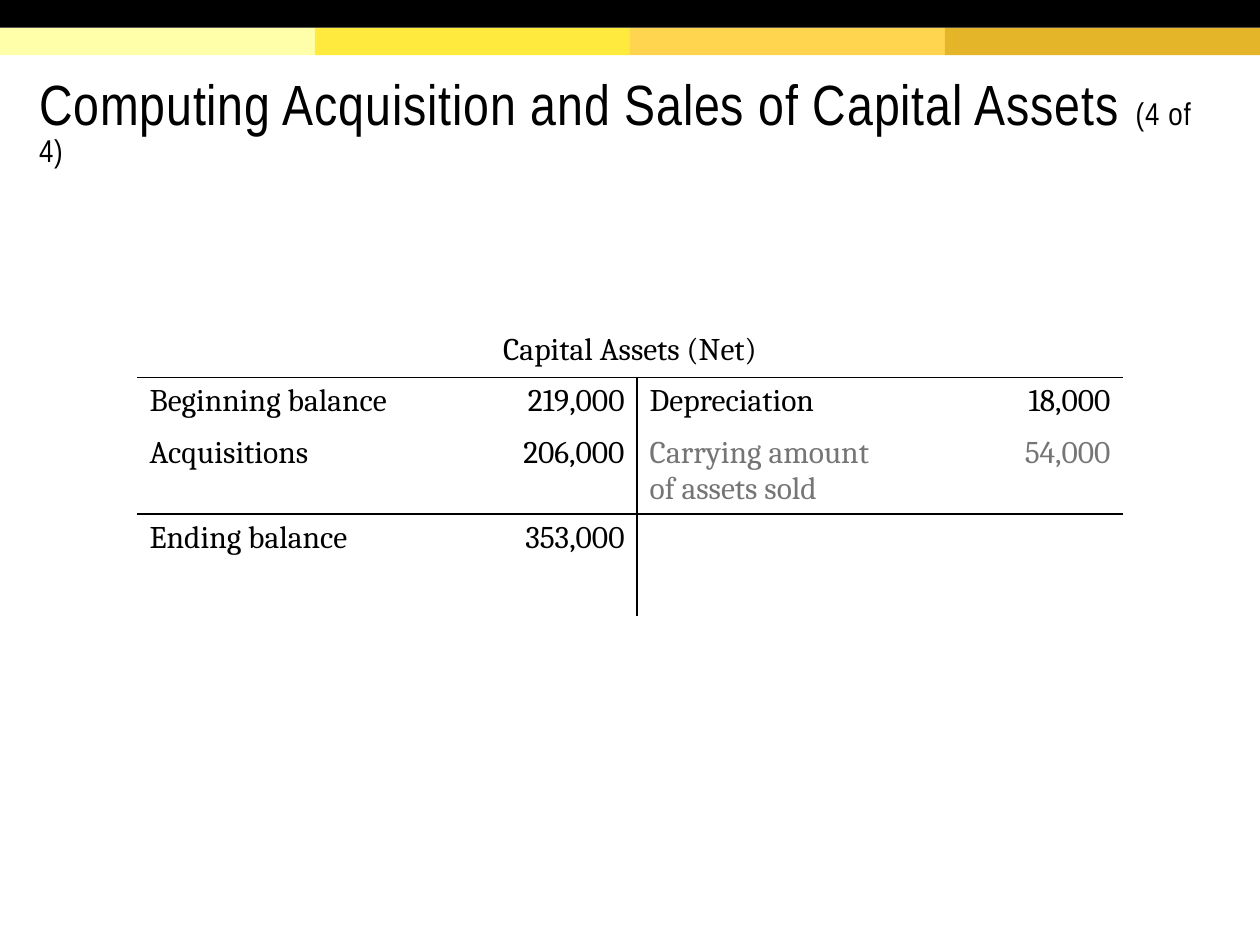
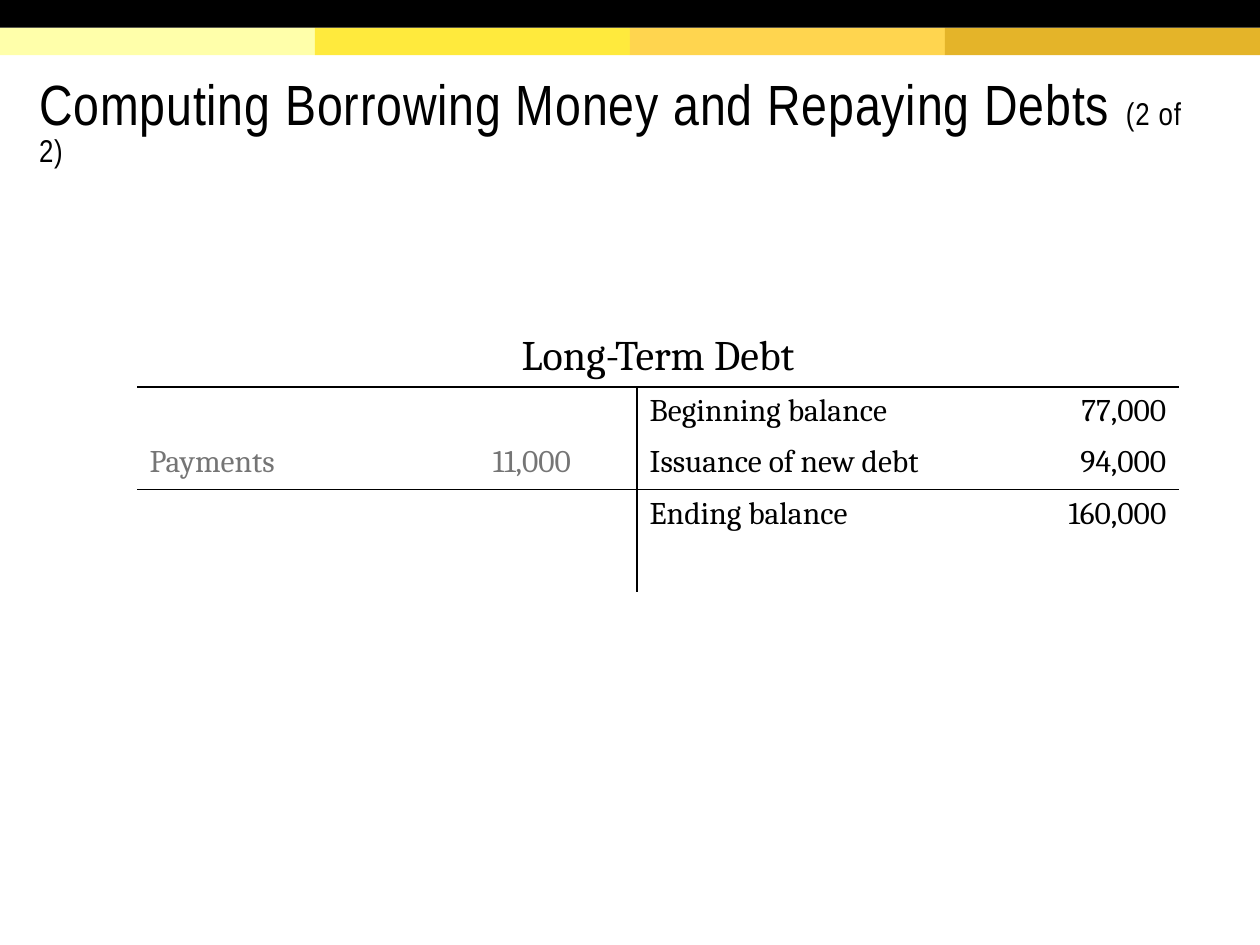
from collections import namedtuple
from dataclasses import dataclass

from lxml.etree import SubElement
from pptx import Presentation
from pptx.dml.color import RGBColor
from pptx.enum.shapes import MSO_SHAPE as Shape
from pptx.enum.text import MSO_ANCHOR as Anchor, MSO_AUTO_SIZE as AutoSize, PP_ALIGN as Align
from pptx.oxml.ns import qn
from pptx.util import Pt

Box = namedtuple("Box", "left top width height")
Entry = namedtuple("Entry", "text align color")


@dataclass(frozen=True)
class Theme:
    """Colours, fonts and type sizes shared by the slides."""
    ink: str = "000000"
    muted: str = "757575"
    bands: tuple = ("FFFFAA", "FFEA3D", "FFD54F", "E4B429")
    title_font: str = "Arial Narrow"
    body_font: str = "Cambria"
    title_size: float = 32.4
    counter_size: float = 18
    body_size: float = 18
    heading_size: float = 24
    line_width: float = 1


THEME = Theme()
PAGE = Box(0, 0, 720, 540)
HEADER_BOX = Box(0, 0, PAGE.width, 31.6)
TITLE_BOX = Box(15.1, 33.8, 683.3, 70.6)
ACCOUNT_LEFT, ACCOUNT_TOP = 78.3, 186.4
ROW_HEIGHT = 29.2


def label(text, color=THEME.ink):
    """Describe a left-aligned account label."""
    return Entry(text, Align.LEFT, color)


def amount(text, color=THEME.ink, align=Align.RIGHT):
    """Describe an account amount."""
    return Entry(text, align, color)


BLANK = label("")


def style_font(font, name, size, color):
    """Apply a typeface, size and colour to a font."""
    font.name, font.size, font.bold = name, Pt(size), False
    font.color.rgb = RGBColor.from_string(color)


def add_rectangle(slide, box, color):
    """Add a plain filled rectangle."""
    shape = slide.shapes.add_shape(Shape.RECTANGLE, *map(Pt, box))
    shape.shadow.inherit = False
    shape.fill.solid()
    shape.fill.fore_color.rgb = RGBColor.from_string(color)
    shape.line.fill.background()


def add_header(slide, box):
    """Draw the black bar over the row of coloured bands."""
    half = box.height / 2
    band_width = box.width / len(THEME.bands)
    for index, color in enumerate(THEME.bands):
        band = Box(box.left + index * band_width, box.top + half, band_width, half)
        add_rectangle(slide, band, color)
    add_rectangle(slide, box._replace(height=half), THEME.ink)


def set_title(slide, box, title, counter):
    """Place the title with its small slide counter."""
    shape = slide.shapes.title
    shape.left, shape.top, shape.width, shape.height = map(Pt, box)
    frame = shape.text_frame
    frame.word_wrap, frame.auto_size = True, AutoSize.NONE
    frame.vertical_anchor = Anchor.MIDDLE
    frame.margin_left = frame.margin_right = frame.margin_top = Pt(7.2)
    frame.margin_bottom = Pt(3.6)
    paragraph = frame.paragraphs[0]
    paragraph.alignment, paragraph.line_spacing = Align.LEFT, 0.85
    for text, size in ((title + " ", THEME.title_size), (counter, THEME.counter_size)):
        run = paragraph.add_run()
        run.text = text
        style_font(run.font, THEME.title_font, size, THEME.ink)
        run.font._element.set("spc", "50")


def set_borders(cell, visible):
    """Draw the named cell sides and hide the others."""
    properties = cell._tc.get_or_add_tcPr()
    for side in "LRTB":
        line = SubElement(properties, qn(f"a:ln{side}"), w=str(Pt(THEME.line_width)))
        if side in visible:
            fill = SubElement(line, qn("a:solidFill"))
            SubElement(fill, qn("a:srgbClr"), val=THEME.ink)
        else:
            SubElement(line, qn("a:noFill"))


def account_sides(row, column):
    """Name the ruled sides of a cell in the T-account."""
    sides = {0: "B", 1: "T", 2: "B", 3: "T"}.get(row, "")
    if row > 0:
        sides += {1: "R", 2: "L"}.get(column, "")
    return sides


def fill_cell(cell, entry, size):
    """Write one entry into a cell and format it."""
    cell.text_frame.text = entry.text
    for paragraph in cell.text_frame.paragraphs:
        paragraph.alignment = entry.align
        style_font(paragraph.font, THEME.body_font, size, entry.color)
        for run in paragraph.runs:
            style_font(run.font, THEME.body_font, size, entry.color)


def add_account(slide, left, top, widths, heights, heading, heading_size, entries):
    """Build a T-account table with a heading across its columns."""
    box = Box(left, top, sum(widths), sum(heights))
    table = slide.shapes.add_table(len(heights), len(widths), *map(Pt, box)).table
    table.first_row = table.horz_banding = False
    for column, width in zip(table.columns, widths):
        column.width = Pt(width)
    for row, height in zip(table.rows, heights):
        row.height = Pt(height)
    for row in range(len(heights)):
        for column in range(len(widths)):
            cell = table.cell(row, column)
            set_borders(cell, account_sides(row, column))
            cell.fill.background()
            if row > 0:
                fill_cell(cell, entries[row - 1][column], THEME.body_size)
    table.cell(0, 0).merge(table.cell(0, len(widths) - 1))
    fill_cell(table.cell(0, 0), Entry(heading, Align.CENTER, THEME.ink), heading_size)


def add_account_slide(presentation, title, counter, **account):
    """Add a title-only slide holding one T-account."""
    slide = presentation.slides.add_slide(presentation.slide_layouts[5])
    add_header(slide, HEADER_BOX)
    set_title(slide, TITLE_BOX, title, counter)
    add_account(slide, ACCOUNT_LEFT, ACCOUNT_TOP, **account)


def main():
    """Build and save the presentation."""
    presentation = Presentation()
    presentation.slide_width, presentation.slide_height = Pt(PAGE.width), Pt(PAGE.height)
    add_account_slide(
        presentation, "Computing Acquisition and Sales of Capital Assets", "(4 of 4)",
        widths=(165.6, 120.2, 157.5, 120.2),
        heights=(ROW_HEIGHT, ROW_HEIGHT, 48.8, ROW_HEIGHT, ROW_HEIGHT),
        heading="Capital Assets (Net)", heading_size=THEME.body_size,
        entries=(
            (label("Beginning balance"), amount("219,000"),
             label("Depreciation"), amount("18,000")),
            (label("Acquisitions"), amount("206,000"),
             label("Carrying amount\nof assets sold", THEME.muted),
             amount("54,000", THEME.muted)),
            (label("Ending balance"), amount("353,000"), BLANK, BLANK),
            (BLANK,) * 4,
        ),
    )
    add_account_slide(
        presentation, "Computing Borrowing Money and Repaying Debts", "(2 of 2)",
        widths=(165.6, 120.2, 189.4, 120.2),
        heights=(34.7,) + (ROW_HEIGHT,) * 4,
        heading="Long-Term Debt", heading_size=THEME.heading_size,
        entries=(
            (BLANK, BLANK, label("Beginning balance"), amount("77,000")),
            (label("Payments", THEME.muted), amount("11,000", THEME.muted, Align.CENTER),
             label("Issuance of new debt"), amount("94,000")),
            (BLANK, BLANK, label("Ending balance"), amount("160,000")),
            (BLANK,) * 4,
        ),
    )
    presentation.save("out.pptx")


if __name__ == "__main__":
    main()
